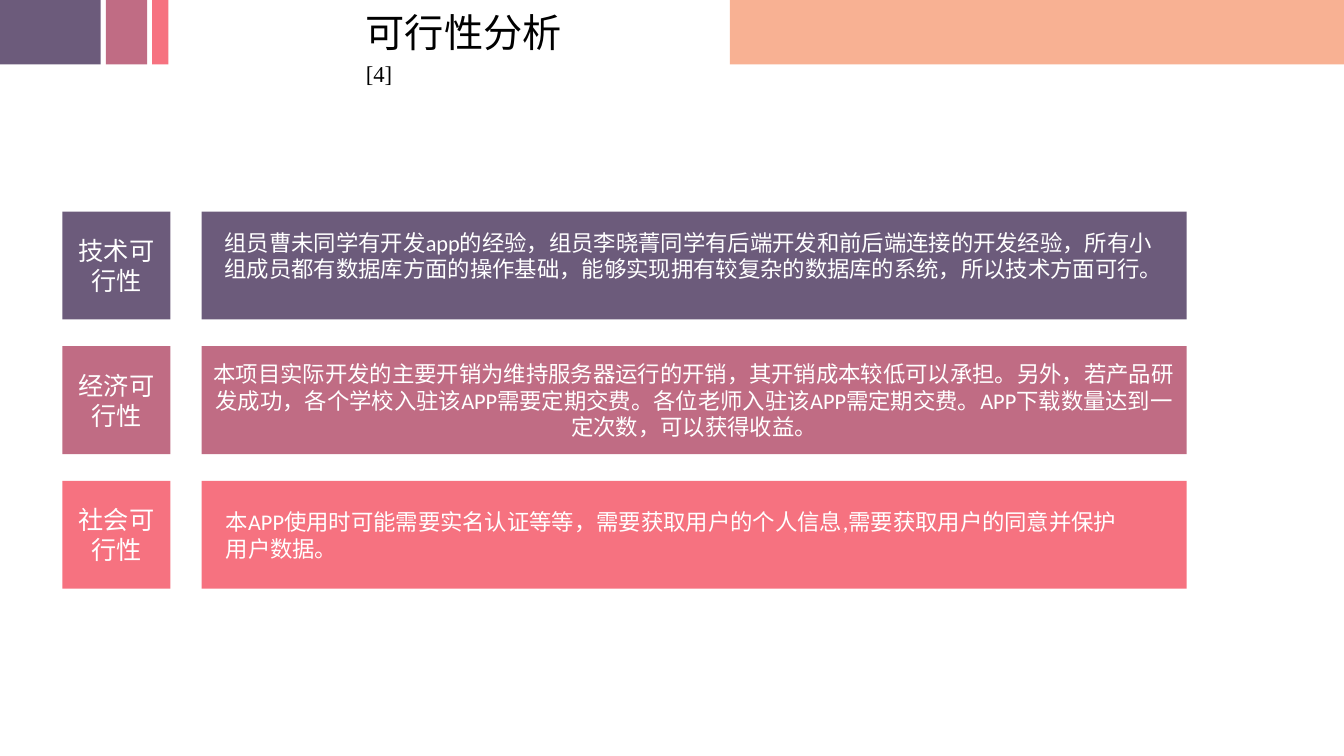
from pptx import Presentation
from pptx.dml.color import RGBColor
from pptx.enum.shapes import MSO_SHAPE
from pptx.enum.text import MSO_ANCHOR, PP_ALIGN
from pptx.oxml.ns import qn
from pptx.util import Inches, Pt
from lxml.etree import SubElement

COLORS = {"plum": "6C5B7B", "rose": "C06C84", "coral": "F67280",
          "peach": "F8B193", "white": "FFFFFF", "black": "000000"}
CJK, LATIN, SERIF = "Noto Sans CJK SC", "Calibri", "Times New Roman"

TITLE, CITATION = "可行性分析", "[4]"
# left, width, colour
BANDS = [(7.24, 6.09, "peach"), (0, 1, "plum"), (1.05, 0.41, "rose"), (1.51, 0.16, "coral")]
# label, colour, paragraphs, text box (left, offset from row top, width) or None for text in the panel
ASPECTS = [
    ("技术可行性", "plum",
     ["组员曹未同学有开发app的经验，组员李晓菁同学有后端开发和前后端连接的开发经验，"
      "所有小组成员都有数据库方面的操作基础，能够实现拥有较复杂的数据库的系统，所以技术方面可行。"],
     (2.13, 0.12, 9.51)),
    ("经济可行性", "rose",
     ["本项目实际开发的主要开销为维持服务器运行的开销，其开销成本较低可以承担。"
      "另外，若产品研发成功，各个学校入驻该APP需要定期交费。各位老师入驻该APP需定期交费。"
      "APP下载数量达到一定次数，可以获得收益。"],
     None),
    ("社会可行性", "coral",
     ["本APP使用时可能需要实名认证等等，需要获取用户的个人信息,需要获取用户的同意并保护",
      "用户数据。"],
     (2.14, 0.22, 9.15)),
]
BAND_HEIGHT = 0.64
ROW_TOP, ROW_PITCH, ROW_HEIGHT = 2.1, 1.335, 1.07
LABEL_LEFT, PANEL_LEFT, PANEL_WIDTH = 0.62, 2, 9.77

prs = Presentation()
prs.slide_width, prs.slide_height = Inches(13.33), Inches(7.5)
slide = prs.slides.add_slide(prs.slide_layouts[6])


def add_block(left, top, width, height, color):
    block = slide.shapes.add_shape(MSO_SHAPE.RECTANGLE, Inches(left), Inches(top),
                                   Inches(width), Inches(height))
    block.shadow.inherit = False
    block.fill.solid()
    block.fill.fore_color.rgb = RGBColor.from_string(COLORS[color])
    block.line.fill.background()
    return block


def add_text_box(left, top, width, height):
    box = slide.shapes.add_textbox(Inches(left), Inches(top), Inches(width), Inches(height))
    box.text_frame.word_wrap = True
    return box


def set_font(run, size, face, color):
    """Style a run, with the CJK face for its East Asian characters."""
    run.font.size, run.font.name = Pt(size), face
    run.font.color.rgb = RGBColor.from_string(COLORS[color])
    SubElement(run.font._element, qn("a:ea")).set("typeface", CJK)


def write(shape, lines, size, face, align, anchor):
    frame = shape.text_frame
    frame.vertical_anchor = anchor
    frame.text = "\n".join(lines)
    for paragraph in frame.paragraphs:
        paragraph.alignment = align
        set_font(paragraph.runs[0], size, face, "white")


for left, width, color in BANDS:
    add_block(left, 0, width, BAND_HEIGHT, color)

heading = add_text_box(3.53, 0.03, 2.47, 0.57).text_frame.paragraphs[0]
title = heading.add_run()
title.text = TITLE
set_font(title, 28, CJK, "black")
heading.add_line_break()
citation = heading.add_run()
citation.text = CITATION
set_font(citation, 28, SERIF, "black")
citation.font._element.set("baseline", "30000")

for row, (label, color, lines, text_area) in enumerate(ASPECTS):
    top = ROW_TOP + row * ROW_PITCH
    tile = add_block(LABEL_LEFT, top, ROW_HEIGHT, ROW_HEIGHT, color)
    write(tile, [label], 18, CJK, PP_ALIGN.CENTER, MSO_ANCHOR.MIDDLE)
    panel = add_block(PANEL_LEFT, top, PANEL_WIDTH, ROW_HEIGHT, color)
    if text_area:
        left, offset, width = text_area
        box = add_text_box(left, top + offset, width, 0.64)
        write(box, lines, 16, LATIN, PP_ALIGN.LEFT, MSO_ANCHOR.TOP)
    else:
        write(panel, lines, 16, LATIN, PP_ALIGN.CENTER, MSO_ANCHOR.MIDDLE)

prs.save("out.pptx")
